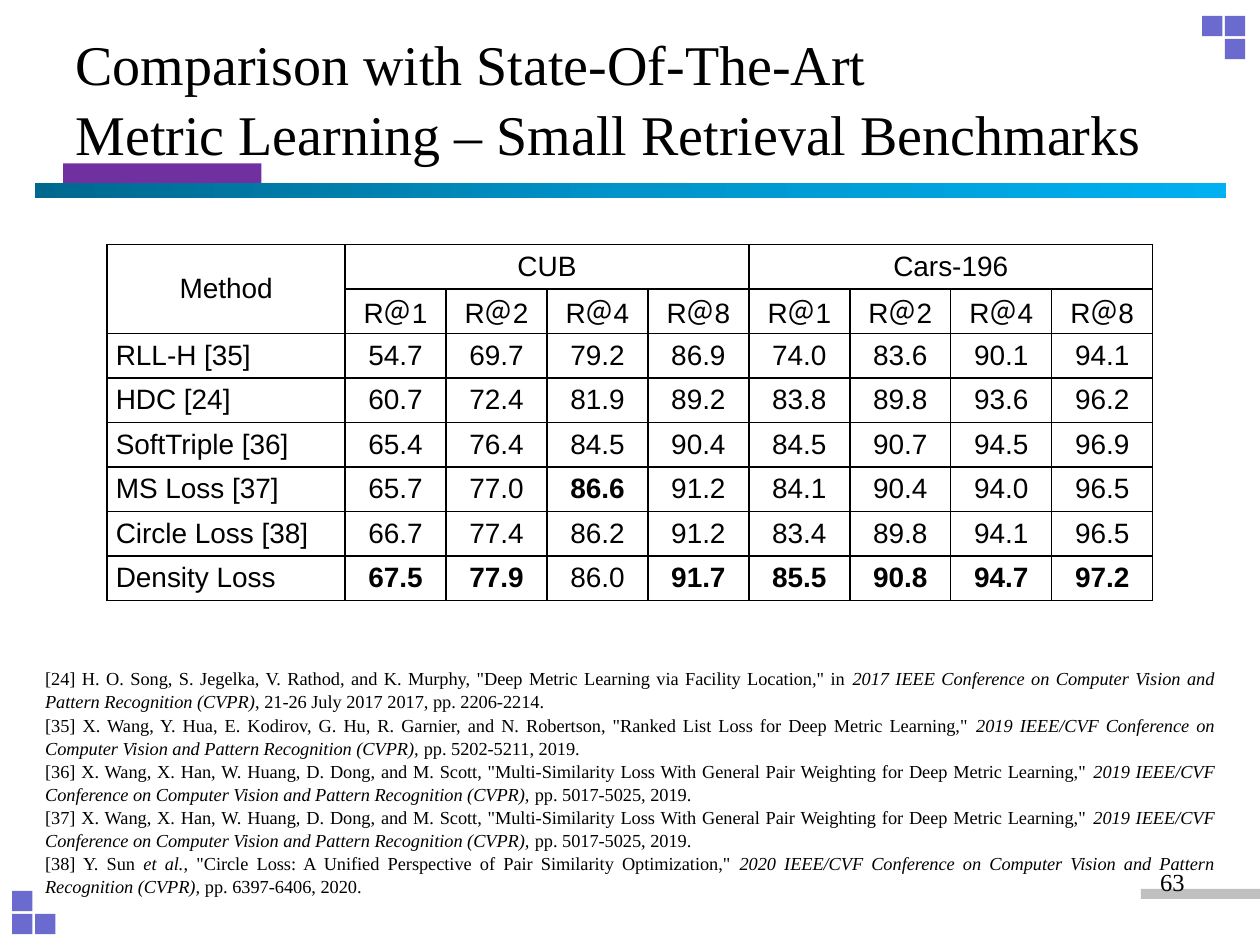
from copy import deepcopy
from dataclasses import dataclass

from lxml.etree import SubElement
from pptx import Presentation
from pptx.dml.color import RGBColor as Color
from pptx.enum.shapes import MSO_SHAPE as Shape
from pptx.enum.text import MSO_ANCHOR as Anchor, MSO_AUTO_SIZE as AutoSize, PP_ALIGN as Align
from pptx.oxml.ns import qn
from pptx.util import Pt


@dataclass(frozen=True)
class Theme:
    """Colours, fonts and type sizes of the slide."""
    ink: str = "000000"
    square: str = "6B6BCF"
    accent: str = "7030A0"
    footer: str = "C0C0C0"
    rule: tuple = ("00688E", "0094CA", "00B0F0")
    serif: str = "Times New Roman"
    sans: str = "Arial"
    title: float = 32
    table: float = 16
    number: float = 14
    reference: float = 10.5
    leading: float = 1.05


HEADING = "Comparison with State-Of-The-Art\vMetric Learning – Small Retrieval Benchmarks"
BENCHMARKS = ["CUB", "Cars-196"]
RECALLS = ["R＠1", "R＠2", "R＠4", "R＠8"]
RESULTS = {
    "RLL-H [35]": [54.7, 69.7, 79.2, 86.9, 74.0, 83.6, 90.1, 94.1],
    "HDC [24]": [60.7, 72.4, 81.9, 89.2, 83.8, 89.8, 93.6, 96.2],
    "SoftTriple [36]": [65.4, 76.4, 84.5, 90.4, 84.5, 90.7, 94.5, 96.9],
    "MS Loss [37]": [65.7, 77.0, 86.6, 91.2, 84.1, 90.4, 94.0, 96.5],
    "Circle Loss [38]": [66.7, 77.4, 86.2, 91.2, 83.4, 89.8, 94.1, 96.5],
    "Density Loss": [67.5, 77.9, 86.0, 91.7, 85.5, 90.8, 94.7, 97.2],
}
VENUE = "IEEE/CVF Conference on Computer Vision and Pattern Recognition (CVPR), "
MULTI_SIMILARITY = ('X. Wang, X. Han, W. Huang, D. Dong, and M. Scott, "Multi-Similarity Loss '
                    'With General Pair Weighting for Deep Metric Learning," ')
REFERENCES = [
    ['[24] H. O. Song, S. Jegelka, V. Rathod, and K. Murphy, "Deep Metric Learning via '
     'Facility Location," in ',
     "2017 IEEE Conference on Computer Vision and Pattern Recognition (CVPR)",
     ", 21-26 July 2017 2017, pp. 2206-2214."],
    ['[35] X. Wang, Y. Hua, E. Kodirov, G. Hu, R. Garnier, and N. Robertson, "Ranked List '
     'Loss for Deep Metric Learning," ', "2019 " + VENUE, "pp. 5202-5211, 2019."],
    *[[f"[{number}] {MULTI_SIMILARITY}", "2019 " + VENUE, "pp. 5017-5025, 2019."]
      for number in (36, 37)],
    ["[38] Y. Sun", " et al.",
     ', "Circle Loss: A Unified Perspective of Pair Similarity Optimization," ',
     "2020 " + VENUE, "pp. 6397-6406, 2020."],
]


def apply(target, values):
    """Set each attribute named in a dict of format values."""
    for name, value in values.items():
        setattr(target, name, value)


class Painter:
    """Draws each kind of element on the current page in one style."""

    def __init__(self, page, theme):
        """Keep the page and its theme."""
        self.page, self.theme = page, theme

    def fill_para(self, para, spans, face, size, align, bold=False, leading=1.0):
        """Fill a paragraph with spans, every second one in italics."""
        apply(para, {"alignment": align, "line_spacing": leading})
        for index, text in enumerate(spans):
            span = para.add_run()
            span.text = text
            apply(span.font, {"name": face, "size": Pt(size), "bold": bold,
                              "italic": index % 2 == 1})
            span.font.color.rgb = Color.from_string(self.theme.ink)

    def title(self, text, left, top, width, height):
        """Place and format the title placeholder."""
        box = self.page.shapes.title
        apply(box, {"left": Pt(left), "top": Pt(top), "width": Pt(width), "height": Pt(height)})
        apply(box.text_frame, {"word_wrap": True, "vertical_anchor": Anchor.MIDDLE,
                               "auto_size": AutoSize.NONE})
        para = box.text_frame.paragraphs[0]
        para.text = text
        apply(para, {"alignment": Align.LEFT, "line_spacing": self.theme.leading})
        for span in para.runs:
            apply(span.font, {"name": self.theme.serif, "size": Pt(self.theme.title)})
            span.font.color.rgb = Color.from_string(self.theme.ink)

    def bar(self, left, top, width, height, *colours):
        """Draw a rectangle with a solid colour or an even gradient."""
        box = self.page.shapes.add_shape(Shape.RECTANGLE, Pt(left), Pt(top), Pt(width), Pt(height))
        box.shadow.inherit = False
        box.line.fill.background()
        if len(colours) == 1:
            box.fill.solid()
            box.fill.fore_color.rgb = Color.from_string(colours[0])
            return
        box.fill.gradient()
        box.fill.gradient_angle = 0
        first = box.element.spPr.find(".//" + qn("a:gs"))
        for _ in colours[2:]:
            first.addnext(deepcopy(first))
        for index, (stop, colour) in enumerate(zip(box.fill.gradient_stops, colours)):
            stop.position = index / (len(colours) - 1)
            stop.color.rgb = Color.from_string(colour)

    def squares(self, left, top, places, step=13.1, side=11.6):
        """Draw a corner ornament from column and row places."""
        for column, row in places:
            self.bar(left + column * step, top + row * step, side, side, self.theme.square)

    def text(self, paragraphs, left, top, width, height, size, align, leading=1.0):
        """Add a wrapped text box of paragraphs made of spans."""
        box = self.page.shapes.add_textbox(Pt(left), Pt(top), Pt(width), Pt(height))
        frame = box.text_frame
        frame.word_wrap = True
        for index, spans in enumerate(paragraphs):
            para = frame.add_paragraph() if index else frame.paragraphs[0]
            self.fill_para(para, spans, self.theme.serif, size, align, leading=leading)

    def cell(self, cell, text="", align=Align.CENTER, bold=False):
        """Format one table cell with thin borders and no fill."""
        apply(cell, {"margin_left": Pt(5), "margin_right": Pt(5), "margin_top": 0,
                     "margin_bottom": 0, "vertical_anchor": Anchor.MIDDLE})
        properties = cell._tc.get_or_add_tcPr()
        for side in ("a:lnL", "a:lnR", "a:lnT", "a:lnB"):
            line = SubElement(properties, qn(side), w=str(Pt(1)))
            SubElement(SubElement(line, qn("a:solidFill")), qn("a:srgbClr"), val=self.theme.ink)
        cell.fill.background()
        if text:
            self.fill_para(cell.text_frame.paragraphs[0], [text], self.theme.sans,
                           self.theme.table, align, bold)

    def results(self, left, top, label_width, score_width, row_height):
        """Build the benchmark table with the best score of each column in bold."""
        group = len(RECALLS)
        scores = group * len(BENCHMARKS)
        rows = len(RESULTS) + 2
        table = self.page.shapes.add_table(
            rows, scores + 1, Pt(left), Pt(top),
            Pt(label_width + scores * score_width), Pt(rows * row_height)).table
        apply(table, {"first_row": False, "horz_banding": False})
        for index, column in enumerate(table.columns):
            column.width = Pt(score_width if index else label_width)
        for row in table.rows:
            row.height = Pt(row_height)
        table.cell(0, 0).merge(table.cell(1, 0))
        heads = ["Method"] + [""] * scores
        for index, name in enumerate(BENCHMARKS):
            start = 1 + index * group
            table.cell(0, start).merge(table.cell(0, start + group - 1))
            heads[start] = name
        best = [max(column) for column in zip(*RESULTS.values())]
        for row, texts in enumerate([heads, [""] + RECALLS * len(BENCHMARKS)]):
            for column, text in enumerate(texts):
                self.cell(table.cell(row, column), text)
        for row, (method, values) in enumerate(RESULTS.items(), 2):
            self.cell(table.cell(row, 0), method, Align.LEFT)
            for column, value in enumerate(values, 1):
                self.cell(table.cell(row, column), f"{value:.1f}", bold=value == best[column - 1])


def main():
    """Build the slide and save the deck."""
    deck = Presentation()
    apply(deck, {"slide_width": Pt(720), "slide_height": Pt(540)})
    page = deck.slides.add_slide(deck.slide_layouts[5])
    theme = Theme()
    painter = Painter(page, theme)
    painter.bar(652, 508, 68, 5.7, theme.footer)
    painter.squares(686.9, 9.1, [(0, 0), (1, 0), (1, 1)])
    painter.bar(36, 93.4, 113.4, 11.5, theme.accent)
    painter.bar(20, 104.6, 680.6, 8.6, *theme.rule)
    painter.squares(6.9, 509.1, [(0, 0), (0, 1), (1, 1)])
    painter.text([["63"]], 516, 492, 168, 37.5, theme.number, Align.RIGHT)
    painter.title(HEADING, 36, 10, 648, 90)
    painter.results(61.2, 139.7, 136, 57.7, 25.45)
    painter.text(REFERENCES, 18.7, 377.3, 682.6, 134.6, theme.reference, Align.JUSTIFY,
                 theme.leading)
    deck.save("out.pptx")


if __name__ == "__main__":
    main()
